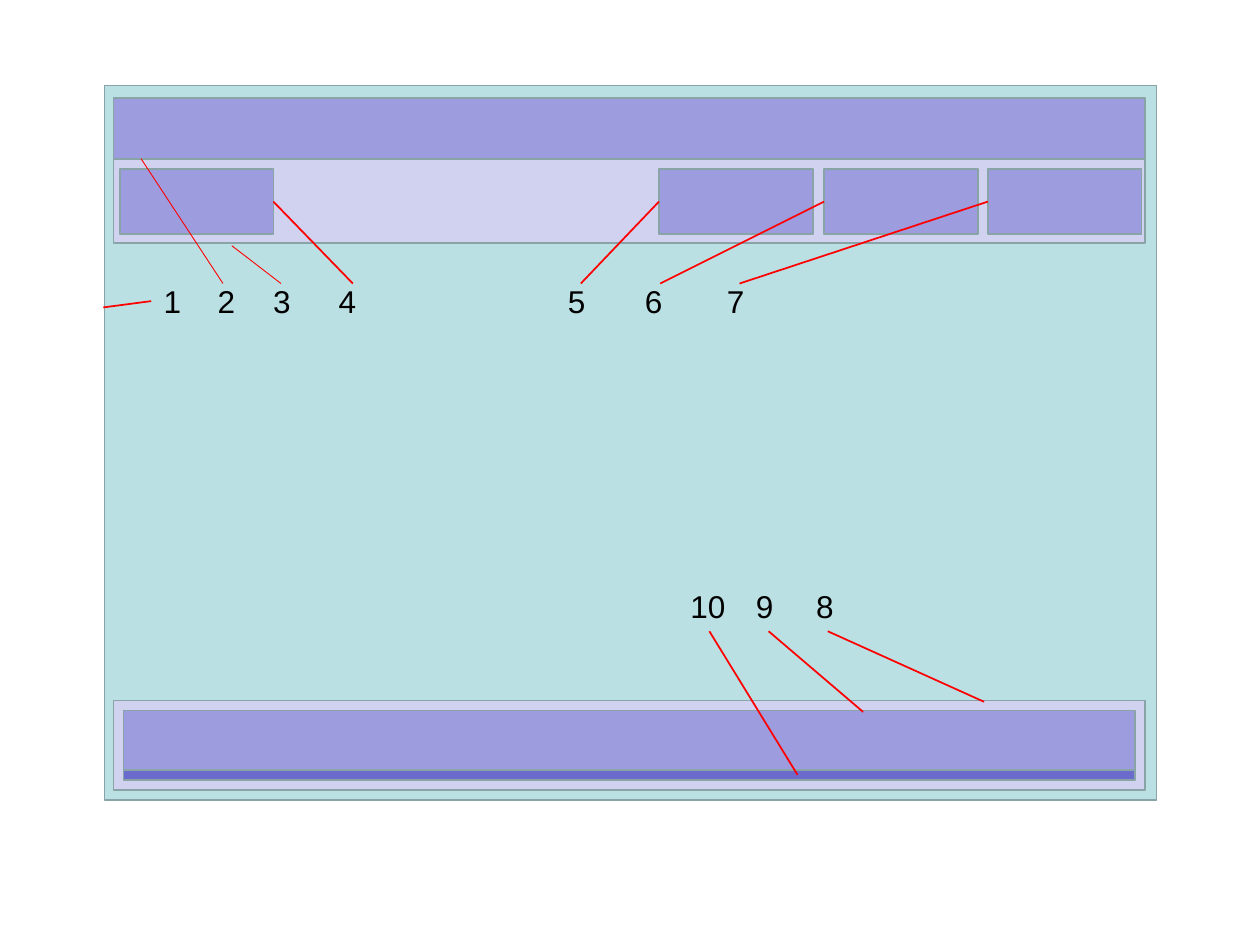
from lxml.etree import SubElement
from pptx import Presentation
from pptx.dml.color import RGBColor
from pptx.enum.shapes import MSO_CONNECTOR, MSO_SHAPE
from pptx.enum.text import MSO_AUTO_SIZE
from pptx.oxml.ns import qn
from pptx.util import Inches, Pt

COLORS = {
    "screen": "BBE0E3",
    "panel": "D1D1F0",
    "bar": "9C9CDF",
    "strip": "6B6BCE",
    "edge": "89A4A7",
    "leader": "FF0000",
    "text": "000000",
}
COLUMNS, ROWS = 100, 75
LEFT_SIDE, RIGHT_SIDE = 1, 3


class Wireframe:
    def __init__(self, prs, font="Arial", size=18):
        self.s = prs.slides.add_slide(prs.slide_layouts[6])
        self.col = prs.slide_width / COLUMNS
        self.row = prs.slide_height / ROWS
        self.font, self.size = font, size

    def color(self, name):
        return RGBColor.from_string(COLORS[name])

    def place(self, x, y):
        return round(x * self.col), round(y * self.row)

    def block(self, x, y, w, h, fill):
        sp = self.s.shapes.add_shape(
            MSO_SHAPE.RECTANGLE, *self.place(x, y), *self.place(w, h))
        sp.shadow.inherit = False
        sp.fill.solid()
        sp.fill.fore_color.rgb = self.color(fill)
        sp.line.color.rgb = self.color("edge")
        sp.line.width = Pt(1)
        return sp

    def leader(self, start, end, width=1, joined=None, side=None):
        ln = self.s.shapes.add_connector(
            MSO_CONNECTOR.STRAIGHT, *self.place(*start), *self.place(*end))
        if joined is not None:
            ln.begin_connect(joined, side)
        ln.line.color.rgb = self.color("leader")
        ln.line.width = Pt(width)
        SubElement(ln._element.spPr, qn("a:effectLst"))

    def label(self, text, x, y, w=4.3):
        sp = self.s.shapes.add_textbox(*self.place(x, y), *self.place(w, 4))
        tf = sp.text_frame
        tf.word_wrap = True
        tf.auto_size = MSO_AUTO_SIZE.SHAPE_TO_FIT_TEXT
        r = tf.paragraphs[0].add_run()
        r.text = text
        r.font.name = self.font
        r.font.size = Pt(self.size)
        r.font.color.rgb = self.color("text")


def main():
    prs = Presentation()
    prs.slide_width, prs.slide_height = Inches(10), Inches(7.5)
    wf = Wireframe(prs)

    wf.block(8.3, 6.8, 83.5, 56.7, "screen")
    wf.block(9, 12.6, 81.9, 6.7, "panel")
    wf.block(9, 7.8, 81.9, 4.8, "bar")
    menu, *tools = [wf.block(x, 13.4, 12.2, 5.2, "bar")
                    for x in (9.5, 52.3, 65.4, 78.4)]
    wf.block(9, 55.6, 81.9, 7.1, "panel")
    wf.block(9.8, 56.4, 80.3, 4.7, "bar")
    wf.block(9.8, 61.1, 80.3, 0.8, "strip")

    top, bottom = 22.5, 50.1
    wf.leader((8.2, 24.4), (12, 23.9))
    wf.leader((18.4, 19.5), (22.3, top), 0.5)
    wf.leader((11.2, 12.6), (17.7, top), 0.5)
    wf.leader((21.7, 16), (28, top), joined=menu, side=RIGHT_SIDE)
    for i, tool in enumerate(tools):
        wf.leader((52.3, 16), (46.1 + 6.3 * i, top), joined=tool, side=LEFT_SIDE)
    for i, start in enumerate([(63.3, 61.5), (68.5, 56.5), (78.1, 55.7)]):
        wf.leader(start, (56.3 + 4.7 * i, bottom))

    for n, x in enumerate((12, 16.3, 20.7, 25.9, 44.1, 50.2, 56.7), 1):
        wf.label(str(n), x, 21.9)
    for text, x, w in (("10", 53.8, 5.2), ("9", 59, 4.3), ("8", 63.8, 4.3)):
        wf.label(text, x, 46.1, w)

    prs.save("out.pptx")


if __name__ == "__main__":
    main()
